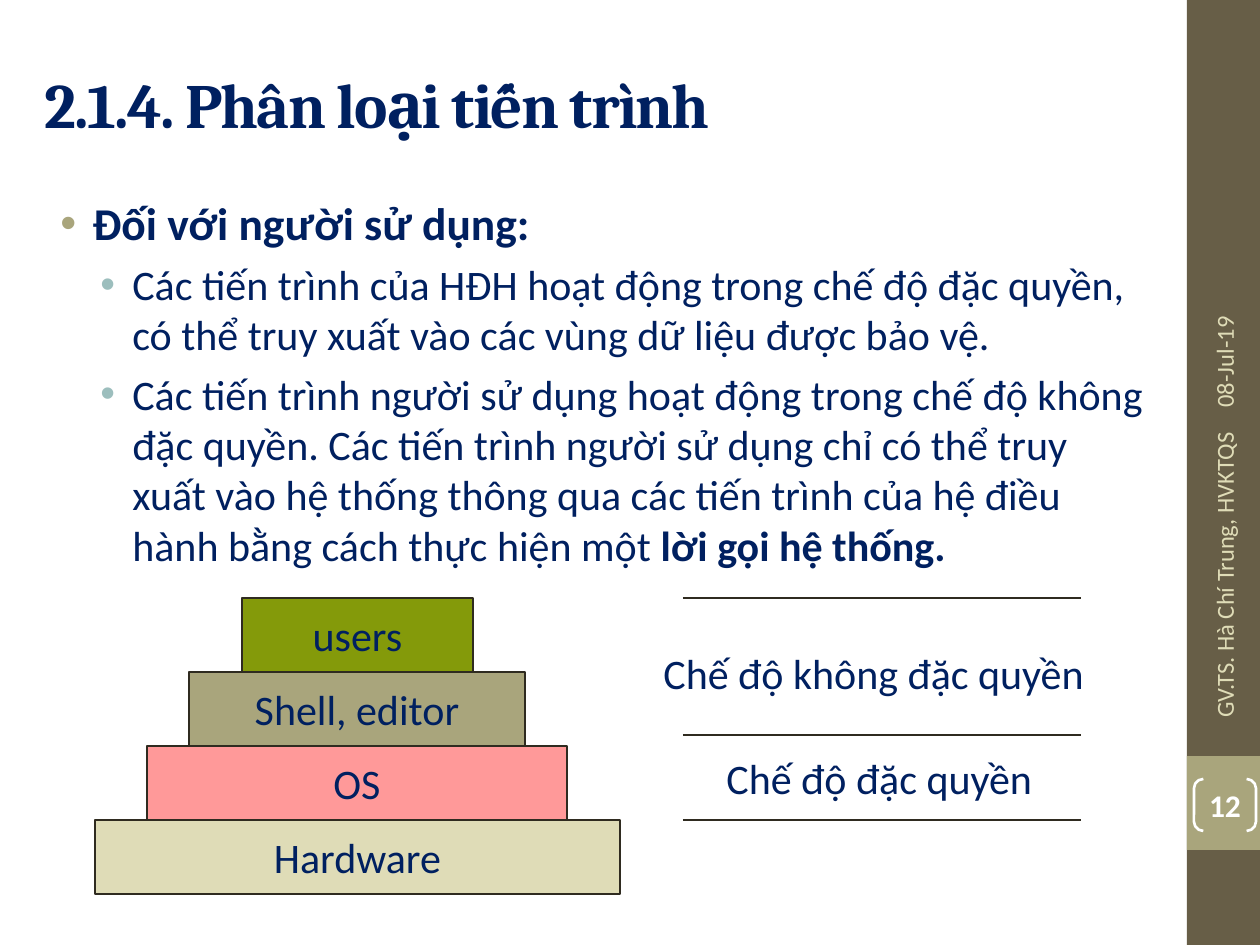
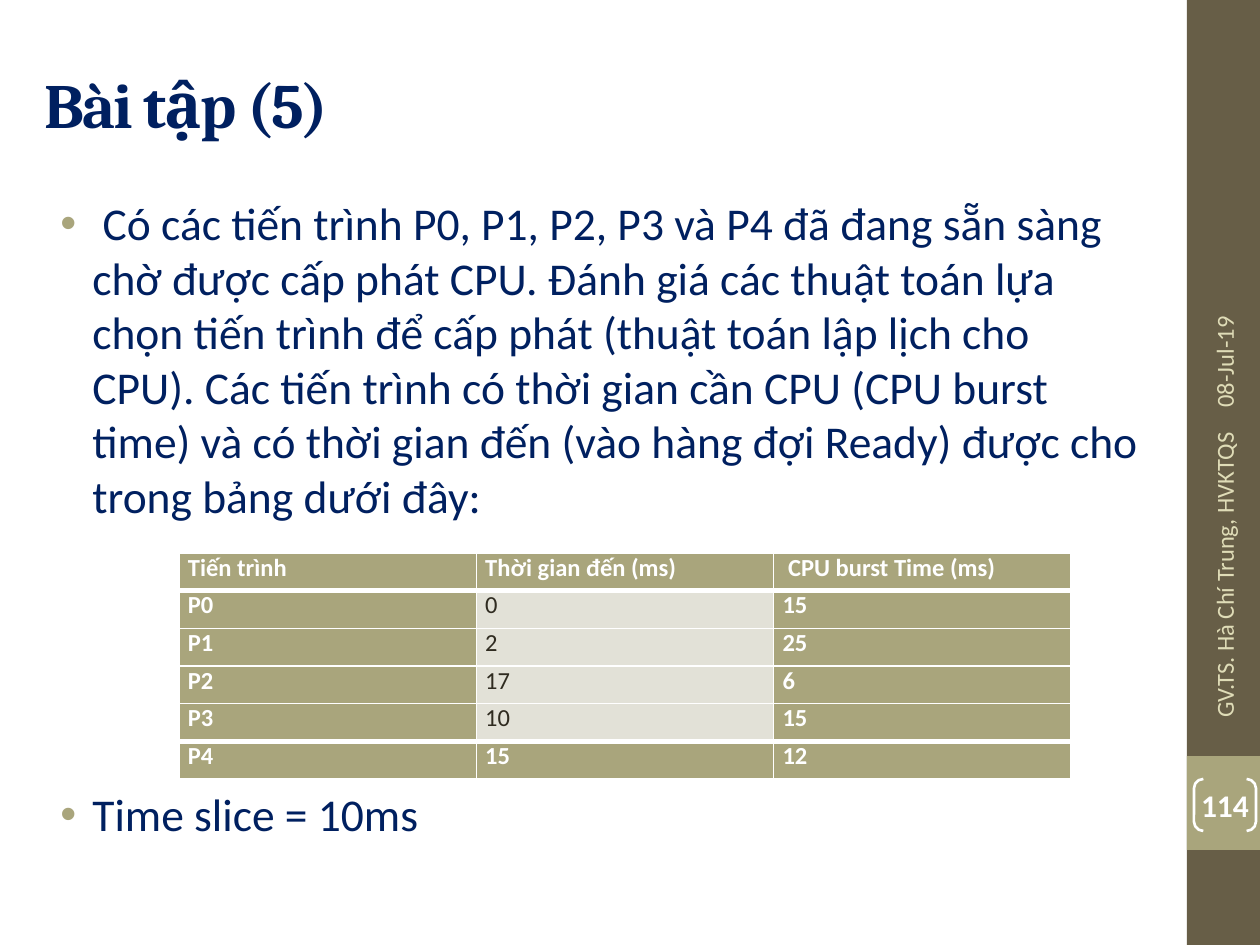
from lxml.etree import SubElement
from pptx import Presentation
from pptx.dml.color import RGBColor
from pptx.enum.shapes import MSO_CONNECTOR, MSO_SHAPE
from pptx.enum.text import MSO_ANCHOR, PP_ALIGN
from pptx.oxml import parse_xml
from pptx.oxml.ns import nsdecls, qn
from pptx.util import Emu, Pt

COLORS = {
    "navy": "002060", "olive": "675E47", "khaki": "A9A57C", "teal": "9CBEBD",
    "sand": "DFDCB7", "ink": "2F2B20", "white": "FFFFFF", "pink": "FF9999",
    "green": "849A0A", "pale": "E2E1D7",
}
BODY_FONT, TITLE_FONT = "Calibri", "Cambria"
BULLETS = [(48, 26, "khaki"), (88, 24, "teal")]
BODY_LEFT, BODY_WIDTH, BODY_TOP = 32, 1124, 189


def px(length):
    """Turn px into EMU."""
    return Emu(round(length * 914400 / 126))


def rgb(name):
    """Look up a colour by name."""
    return RGBColor.from_string(COLORS[name])


class Deck:
    """Holds the presentation, its style and the current slide."""

    def __init__(self):
        """Open an empty 4:3 presentation."""
        self.prs = Presentation()
        self.prs.slide_width, self.prs.slide_height = px(1260), px(945)
        self.slide = None

    def start(self, heading, number):
        """Add a slide with its side band, title, footers and number."""
        self.slide = self.prs.slides.add_slide(self.prs.slide_layouts[6])
        self.box((1187, 0, 73, 945), "olive")
        self.box((1187, 756, 73, 94), "khaki")
        title = self.text((BODY_LEFT, 38, BODY_WIDTH, 130), heading, 36,
                          font=TITLE_FONT, bold=True)
        for run in title.text_frame.paragraphs[0].runs:
            run.font._element.set("spc", "-100")
        self.text((1056, 227, 336, 50), "08-Jul-19", 14, "sand", turn=270)
        self.text((1061, 558, 326, 50), "GV.TS. Hà Chí Trung, HVKTQS", 14, "sand",
                  align=PP_ALIGN.RIGHT, turn=270)
        bracket = self.box((1194, 779, 62, 52), None, "white", 1.5,
                           MSO_SHAPE.DOUBLE_BRACKET)
        bracket.adjustments[0] = 0.18
        self.label(bracket, number, 18, "white", bold=True)

    def style(self, paragraph, size, color="navy", font=BODY_FONT, bold=False):
        """Format all runs of a paragraph."""
        for run in paragraph.runs:
            run.font.size, run.font.name, run.font.bold = Pt(size), font, bold
            run.font.color.rgb = rgb(color)

    def box(self, place, fill, line=None, weight=0.75, kind=MSO_SHAPE.RECTANGLE):
        """Draw a preset shape."""
        shape = self.slide.shapes.add_shape(kind, *map(px, place))
        shape.shadow.inherit = False
        if fill:
            shape.fill.solid()
            shape.fill.fore_color.rgb = rgb(fill)
        else:
            shape.fill.background()
        if line:
            shape.line.color.rgb = rgb(line)
            shape.line.width = Pt(weight)
        else:
            shape.line.fill.background()
        return shape

    def label(self, shape, words, size, color="navy", bold=False):
        """Write one centred line inside a shape."""
        frame = shape.text_frame
        frame.text = words
        frame.word_wrap = False
        frame.vertical_anchor = MSO_ANCHOR.MIDDLE
        frame.margin_left = frame.margin_right = 0
        frame.margin_top = frame.margin_bottom = 0
        frame.paragraphs[0].alignment = PP_ALIGN.CENTER
        self.style(frame.paragraphs[0], size, color, bold=bold)

    def text(self, place, words, size, color="navy", font=BODY_FONT, bold=False,
             align=PP_ALIGN.LEFT, turn=0):
        """Place one line of text, centred in height."""
        holder = self.slide.shapes.add_textbox(*map(px, place))
        holder.rotation = turn
        frame = holder.text_frame
        frame.text = words
        frame.word_wrap = True
        frame.vertical_anchor = MSO_ANCHOR.MIDDLE
        frame.paragraphs[0].alignment = align
        self.style(frame.paragraphs[0], size, color, font, bold)
        return holder

    def bullets(self, top, height, items):
        """Write bullets given as (level, plain text, bold ending)."""
        holder = self.slide.shapes.add_textbox(
            *map(px, (BODY_LEFT, top, BODY_WIDTH, height)))
        frame = holder.text_frame
        frame.word_wrap = True
        for index, (level, plain, strong) in enumerate(items):
            paragraph = frame.add_paragraph() if index else frame.paragraphs[0]
            indent, size, color = BULLETS[level]
            paragraph.text = plain
            paragraph.level = level
            paragraph.space_before = Pt(5)
            self.style(paragraph, size)
            if strong:
                ending = paragraph.add_run()
                ending.text = strong
                self.style(paragraph, size)
                ending.font.bold = True
            props = paragraph._p.get_or_add_pPr()
            props.set("marL", str(px(indent)))
            props.set("indent", str(px(-32)))
            mark = SubElement(props, qn("a:buClr"))
            SubElement(mark, qn("a:srgbClr"), val=COLORS[color])
            SubElement(props, qn("a:buFont"), typeface="Arial")
            SubElement(props, qn("a:buChar"), char="•")

    def rule(self, left, right, y):
        """Draw a thin horizontal line."""
        line = self.slide.shapes.add_connector(
            MSO_CONNECTOR.STRAIGHT, *map(px, (left, y, right, y)))
        line.line.color.rgb = rgb("ink")
        line.line.width = Pt(0.75)
        SubElement(line._element.spPr, qn("a:effectLst"))

    def table(self, place, rows):
        """Build a table whose outer rows and columns are emphasised."""
        last_row, last_column = len(rows) - 1, len(rows[0]) - 1
        grid = self.slide.shapes.add_table(
            len(rows), len(rows[0]), *map(px, place)).table
        grid.horz_banding = False
        for r, row in enumerate(rows):
            for c, words in enumerate(row):
                strong = r in (0, last_row) or c in (0, last_column)
                cell = grid.cell(r, c)
                cell.text = words
                cell.margin_left = cell.margin_right = px(9)
                cell.margin_top = cell.margin_bottom = 0
                cell.fill.solid()
                cell.fill.fore_color.rgb = rgb("khaki" if strong else "pale")
                self.style(cell.text_frame.paragraphs[0], 14,
                           "white" if strong else "ink", bold=strong)
                top = 3 if r in (1, last_row) else 1
                bottom = 3 if r in (0, last_row - 1) else 1
                self.borders(cell, {"L": 1, "R": 1, "T": top, "B": bottom})

    def borders(self, cell, weights):
        """Give a cell white borders, in points per side."""
        props = cell._tc.get_or_add_tcPr()
        for position, (side, weight) in enumerate(weights.items()):
            props.insert(position, parse_xml(
                f'<a:ln{side} {nsdecls("a")} w="{Pt(weight)}"><a:solidFill>'
                f'<a:srgbClr val="{COLORS["white"]}"/></a:solidFill></a:ln{side}>'))


def process_types(deck):
    """Build the slide on kinds of processes."""
    deck.start("2.1.4. Phân loại tiến trình", "12")
    deck.bullets(BODY_TOP, 735, [
        (0, "", "Đối với người sử dụng:"),
        (1, "Các tiến trình của HĐH hoạt động trong chế độ đặc quyền, có thể truy "
            "xuất vào các vùng dữ liệu được bảo vệ.", ""),
        (1, "Các tiến trình người sử dụng hoạt động trong chế độ không đặc quyền. "
            "Các tiến trình người sử dụng chỉ có thể truy xuất vào hệ thống thông "
            "qua các tiến trình của hệ điều hành bằng cách thực hiện một ",
         "lời gọi hệ thống."),
    ])
    pyramid_top, layer_height, pyramid_center = 598, 74, 357
    layers = [("users", 231, "green"), ("Shell, editor", 336, "khaki"),
              ("OS", 420, "pink"), ("Hardware", 525, "sand")]
    for level, (name, width, fill) in enumerate(layers):
        layer = deck.box((pyramid_center - width // 2,
                          pyramid_top + level * layer_height, width, layer_height),
                         fill, "ink")
        deck.label(layer, name, 24)
    for y in (pyramid_top, 735, pyramid_top + 3 * layer_height):
        deck.rule(683, 1081, y)
    deck.text((651, 641, 450, 63), "Chế độ không đặc quyền", 24)
    deck.text((714, 746, 334, 63), "Chế độ đặc quyền", 24)


def exercise(deck):
    """Build the scheduling exercise slide."""
    deck.start("Bài tập (5)", "114")
    deck.bullets(BODY_TOP, 350, [
        (0, " Có các tiến trình P0, P1, P2, P3 và P4 đã đang sẵn sàng chờ được cấp "
            "phát CPU. Đánh giá các thuật toán lựa chọn tiến trình để cấp phát "
            "(thuật toán lập lịch cho CPU). Các tiến trình có thời gian cần CPU "
            "(CPU burst time) và có thời gian đến (vào hàng đợi Ready) được cho "
            "trong bảng dưới đây:", "")])
    deck.bullets(780, 144, [(0, "Time slice = 10ms", "")])
    deck.table((179, 553, 892, 226), [
        ("Tiến trình", "Thời gian đến (ms)", " CPU burst Time (ms)"),
        ("P0", "0", "15"),
        ("P1", "2", "25"),
        ("P2", "17", "6"),
        ("P3", "10", "15"),
        ("P4", "15", "12"),
    ])


def main():
    """Build and save both slides."""
    deck = Deck()
    process_types(deck)
    exercise(deck)
    deck.prs.save("out.pptx")


if __name__ == "__main__":
    main()
